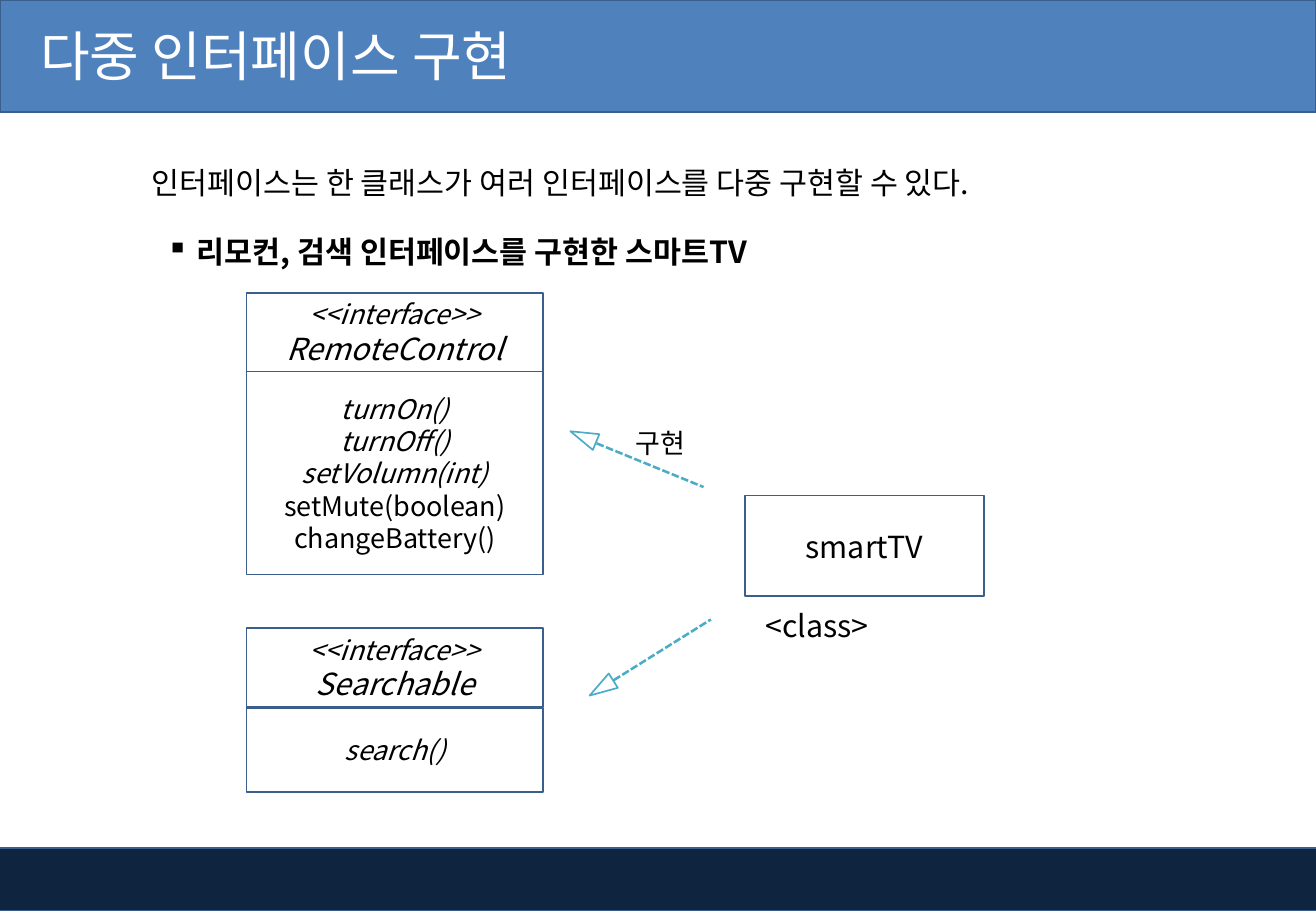
from lxml.etree import SubElement
from pptx import Presentation
from pptx.dml.color import RGBColor
from pptx.enum.dml import MSO_LINE
from pptx.enum.shapes import MSO_CONNECTOR, MSO_SHAPE
from pptx.enum.text import MSO_ANCHOR, PP_ALIGN
from pptx.oxml.ns import qn
from pptx.util import Inches, Pt

FONT = "Noto Sans CJK KR"
BLACK = RGBColor(0x00, 0x00, 0x00)
WHITE = RGBColor(0xFF, 0xFF, 0xFF)
NAVY = RGBColor(0x0F, 0x24, 0x3E)
BLUE = RGBColor(0x4F, 0x81, 0xBD)
OUTLINE = RGBColor(0x3A, 0x5F, 0x8C)
TEAL = RGBColor(0x4B, 0xAC, 0xC6)


def write_lines(frame, lines, align=PP_ALIGN.LEFT, color=BLACK):
    frame.word_wrap = True
    for index, (text, size, style) in enumerate(lines):
        para = frame.add_paragraph() if index else frame.paragraphs[0]
        para.alignment = align
        span = para.add_run()
        span.text = text
        span.font.color.rgb = color
        values = {"name": FONT, "size": Pt(size), "bold": False, "italic": False, **style}
        for name, value in values.items():
            setattr(span.font, name, value)
        SubElement(span.font._element, qn("a:ea"), typeface=FONT)


def add_box(shapes, kind, place, fill, line):
    box = shapes.add_shape(kind, *map(Inches, place))
    box.shadow.inherit = False
    if fill is None:
        box.fill.background()
    else:
        box.fill.solid()
        box.fill.fore_color.rgb = fill
    box.line.color.rgb = line
    box.line.width = Pt(1)
    return box


deck = Presentation()
deck.slide_width = Inches(10.83)
deck.slide_height = Inches(7.5)
page = deck.slides.add_slide(deck.slide_layouts[5])

bands = [((0, 0, 10.83, 0.92), BLUE), ((-0.04, 6.98, 10.88, 0.52), NAVY)]
for place, fill in bands:
    band = add_box(page.shapes, MSO_SHAPE.RECTANGLE, place, fill, OUTLINE)
    page.shapes._spTree.insert(2, band._element)

title = page.shapes.title
title_format = {
    "left": Inches(0),
    "top": Inches(-0.02),
    "width": Inches(6.78),
    "height": Inches(0.94),
}
for name, value in title_format.items():
    setattr(title, name, value)
title.text_frame.margin_left = Inches(0.33)
title.text_frame.vertical_anchor = MSO_ANCHOR.MIDDLE
write_lines(title.text_frame, [("다중 인터페이스 구현", 32, {})], color=WHITE)

bullet_box = page.shapes.add_textbox(Inches(1.27), Inches(1.72), Inches(6.19), Inches(0.55))
bullet = bullet_box.text_frame.paragraphs[0]
bullet.line_spacing = 1.5
bullet_properties = bullet._p.get_or_add_pPr()
bullet_properties.set("marL", str(Inches(0.25)))
bullet_properties.set("indent", str(Inches(-0.25)))
SubElement(bullet_properties, qn("a:buChar"), char="▪")
write_lines(
    bullet_box.text_frame,
    [("리모컨, 검색 인터페이스를 구현한 스마트TV", 18, {"bold": True})],
)

ITALIC = {"italic": True}
class_boxes = [
    ((6.13, 4.08, 1.97, 0.83), [("smartTV", 18, {})]),
    ((2.03, 2.41, 2.44, 0.65), [("<<interface>>", 16, ITALIC), ("RemoteControl", 18, ITALIC)]),
    (
        (2.03, 3.06, 2.44, 1.67),
        [
            ("turnOn()", 16, ITALIC),
            ("turnOff()", 16, ITALIC),
            ("setVolumn(int)", 16, ITALIC),
            ("setMute(boolean)", 16, {}),
            ("changeBattery()", 16, {}),
        ],
    ),
    ((2.03, 5.17, 2.44, 0.65), [("<<interface>>", 16, ITALIC), ("Searchable", 18, ITALIC)]),
    ((2.03, 5.83, 2.44, 0.69), [("search()", 16, ITALIC)]),
]
for place, lines in class_boxes:
    box = add_box(page.shapes, MSO_SHAPE.RECTANGLE, place, None, OUTLINE)
    box.text_frame.vertical_anchor = MSO_ANCHOR.MIDDLE
    write_lines(box.text_frame, lines, PP_ALIGN.CENTER)

arrows = [
    ((4.73, 3.48, 0.14, 0.23), 292.7, (4.91, 3.65, 5.79, 4.01)),
    ((4.88, 5.55, 0.14, 0.23), 237.7, (5.05, 5.6, 5.85, 5.1)),
]
for head_place, rotation, ends in arrows:
    arrow = page.shapes.add_group_shape()
    head = add_box(arrow.shapes, MSO_SHAPE.ISOSCELES_TRIANGLE, head_place, WHITE, TEAL)
    head.rotation = rotation
    shaft = arrow.shapes.add_connector(MSO_CONNECTOR.STRAIGHT, *map(Inches, ends))
    shaft.line.color.rgb = TEAL
    shaft.line.width = Pt(1.5)
    shaft.line.dash_style = MSO_LINE.SQUARE_DOT
    SubElement(shaft._element.spPr, qn("a:effectLst"))

labels = [
    ((5.13, 3.46, 0.72, 0.37), "구현", 16),
    ((6.2, 4.95, 1.26, 0.4), "<class>", 18),
    ((1.15, 1.3, 7.79, 0.4), "인터페이스는 한 클래스가 여러 인터페이스를 다중 구현할 수 있다.", 18),
]
for place, text, size in labels:
    label = page.shapes.add_textbox(*map(Inches, place))
    write_lines(label.text_frame, [(text, size, {})])

deck.save("out.pptx")
